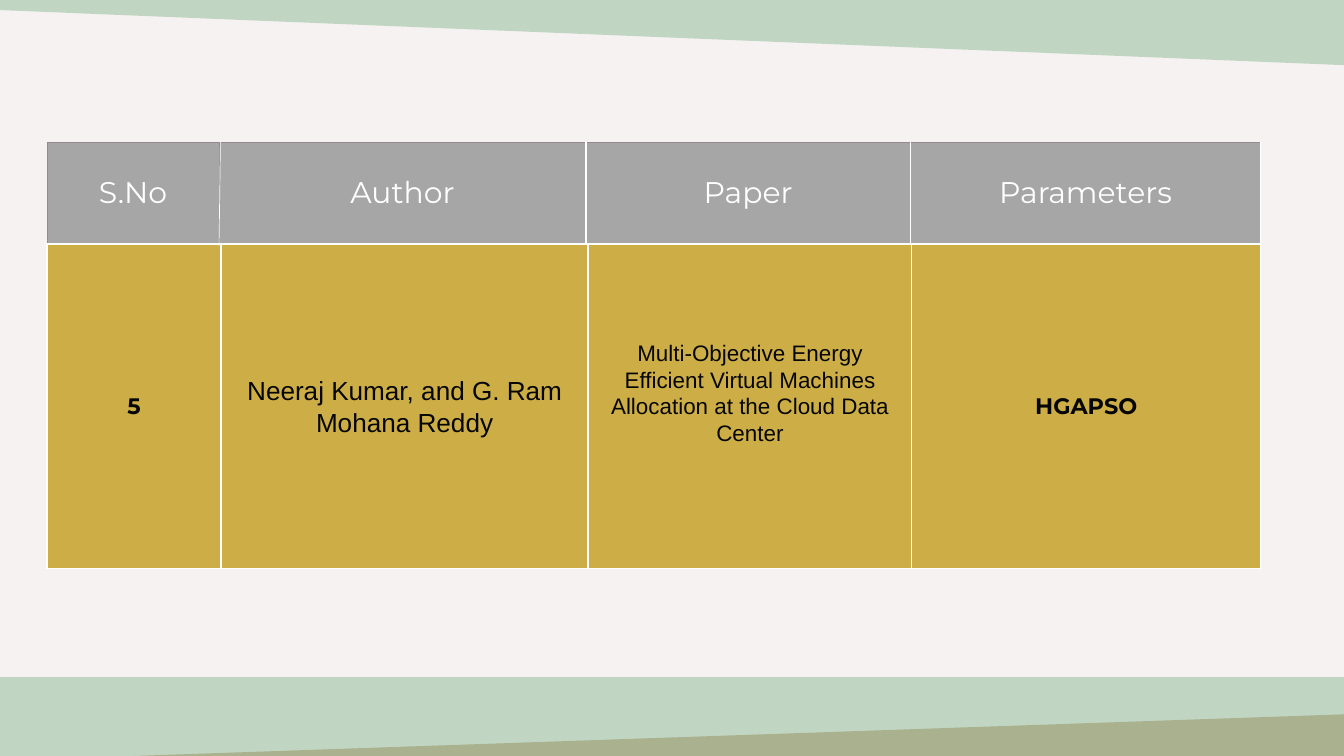
from lxml import etree
from pptx import Presentation
from pptx.dml.color import RGBColor
from pptx.enum import shapes, text
from pptx.oxml.ns import qn
from pptx.util import Inches, Pt

BACKGROUND = RGBColor(0xF6, 0xF2, 0xF2)
SAGE = RGBColor(0xC0, 0xD6, 0xC2)
OLIVE = RGBColor(0xAA, 0xB1, 0x8E)
GREY = RGBColor(0xA6, 0xA6, 0xA6)
GOLD = RGBColor(0xCD, 0xAE, 0x46)
MAUVE = RGBColor(0x98, 0x87, 0x8F)
WHITE = RGBColor(0xFF, 0xFF, 0xFF)
INK = RGBColor(0x06, 0x06, 0x07)

THICK_WHITE = (WHITE, 1.5)
THIN_MAUVE = (MAUVE, 0.75)


def set_borders(cell, borders):
    """Draw the cell's borders, given as (colour, points) for left, right, top, bottom."""
    properties = cell._tc.get_or_add_tcPr()
    for index, (side, (color, width)) in enumerate(zip("LRTB", borders)):
        line = etree.Element(qn(f"a:ln{side}"), w=str(Pt(width)))
        fill = etree.SubElement(line, qn("a:solidFill"))
        etree.SubElement(fill, qn("a:srgbClr"), val=str(color))
        properties.insert(index, line)


def add_row_table(top, height, widths, fill, contents, borders):
    """Add a one-row table; contents holds (wording, font values) for each cell."""
    frame = slide.shapes.add_table(1, len(widths), Inches(0.7), Inches(top),
                                   Inches(sum(widths)), Inches(height))
    table = frame.table
    table.first_row = table.horz_banding = False
    table.rows[0].height = Inches(height)
    for column, width in zip(table.columns, widths):
        column.width = Inches(width)
    for cell, (wording, font_values), cell_borders in zip(table.rows[0].cells, contents, borders):
        cell.fill.solid()
        cell.fill.fore_color.rgb = fill
        set_borders(cell, cell_borders)
        cell.vertical_anchor = text.MSO_ANCHOR.MIDDLE
        for side in ("left", "right", "top", "bottom"):
            setattr(cell, f"margin_{side}", Inches(0.1))
        cell.text = wording
        paragraph = cell.text_frame.paragraphs[0]
        paragraph.alignment = text.PP_ALIGN.CENTER
        paragraph.line_spacing = Pt(font_values["size"].pt * 1.2)
        font = paragraph.runs[0].font
        for name, value in font_values.items():
            setattr(font, name, value)
        font.color.rgb = WHITE if fill == GREY else INK
    return table


presentation = Presentation()
presentation.slide_width = Inches(20)
presentation.slide_height = Inches(11.25)
slide = presentation.slides.add_slide(presentation.slide_layouts[6])
slide.background.fill.solid()
slide.background.fill.fore_color.rgb = BACKGROUND

# Coloured bands along the bottom and top edges
bands = [
    (SAGE, [(0, 10.08), (0, 11.32), (20, 11.32), (20, 10.08)]),
    (OLIVE, [(20, 11.32), (20, 10.63), (-0.06, 11.32)]),
    (SAGE, [(0, 0), (0, 0.15), (20, 0.97), (20, 0)]),
]
for color, points in bands:
    start, *others = [(Inches(x), Inches(y)) for x, y in points]
    builder = slide.shapes.build_freeform(*start)
    builder.add_line_segments(others, close=True)
    band = builder.convert_to_shape()
    band.shadow.inherit = False
    band.fill.solid()
    band.fill.fore_color.rgb = color
    band.line.fill.background()

# Header table
header_font = {"size": Pt(32), "name": "Montserrat", "bold": False}
add_row_table(
    2.12, 1.5, [2.56, 5.46, 4.83, 5.21], GREY,
    [(title, header_font) for title in ("S.No", "Author", "Paper", "Parameters")],
    [(THIN_MAUVE, THIN_MAUVE, THIN_MAUVE, THICK_WHITE),
     (THIN_MAUVE, THICK_WHITE, THIN_MAUVE, THICK_WHITE)]
    + [(THICK_WHITE, THICK_WHITE, THIN_MAUVE, THICK_WHITE)] * 2)

# Paper table
label_font = {"size": Pt(24), "name": "Montserrat", "bold": True}
author_font = {"size": Pt(28), "name": "Arial", "bold": False}
paper_font = {"size": Pt(24), "name": "Arial", "bold": False}
paper_table = add_row_table(
    3.63, 4.83, [2.59, 5.46, 4.82, 5.19], GOLD,
    [("5", label_font),
     ("Neeraj Kumar, and G. Ram Mohana Reddy", author_font),
     ("Multi-Objective Energy Efficient Virtual Machines Allocation "
      "at the Cloud Data Center", paper_font),
     ("HGAPSO", label_font)],
    [(THICK_WHITE,) * 4] * 4)
paper_table.cell(0, 2).margin_bottom = Inches(0.5)  # lifts the title above the middle

# Slanted divider in the header
divider = slide.shapes.add_connector(shapes.MSO_CONNECTOR.STRAIGHT, Inches(3.26), Inches(3.65),
                                     Inches(3.28), Inches(2.11))
divider.line.color.rgb = WHITE
divider.line.width = Pt(0.75)
etree.SubElement(divider._element.spPr, qn("a:effectLst"))

presentation.save("out.pptx")
